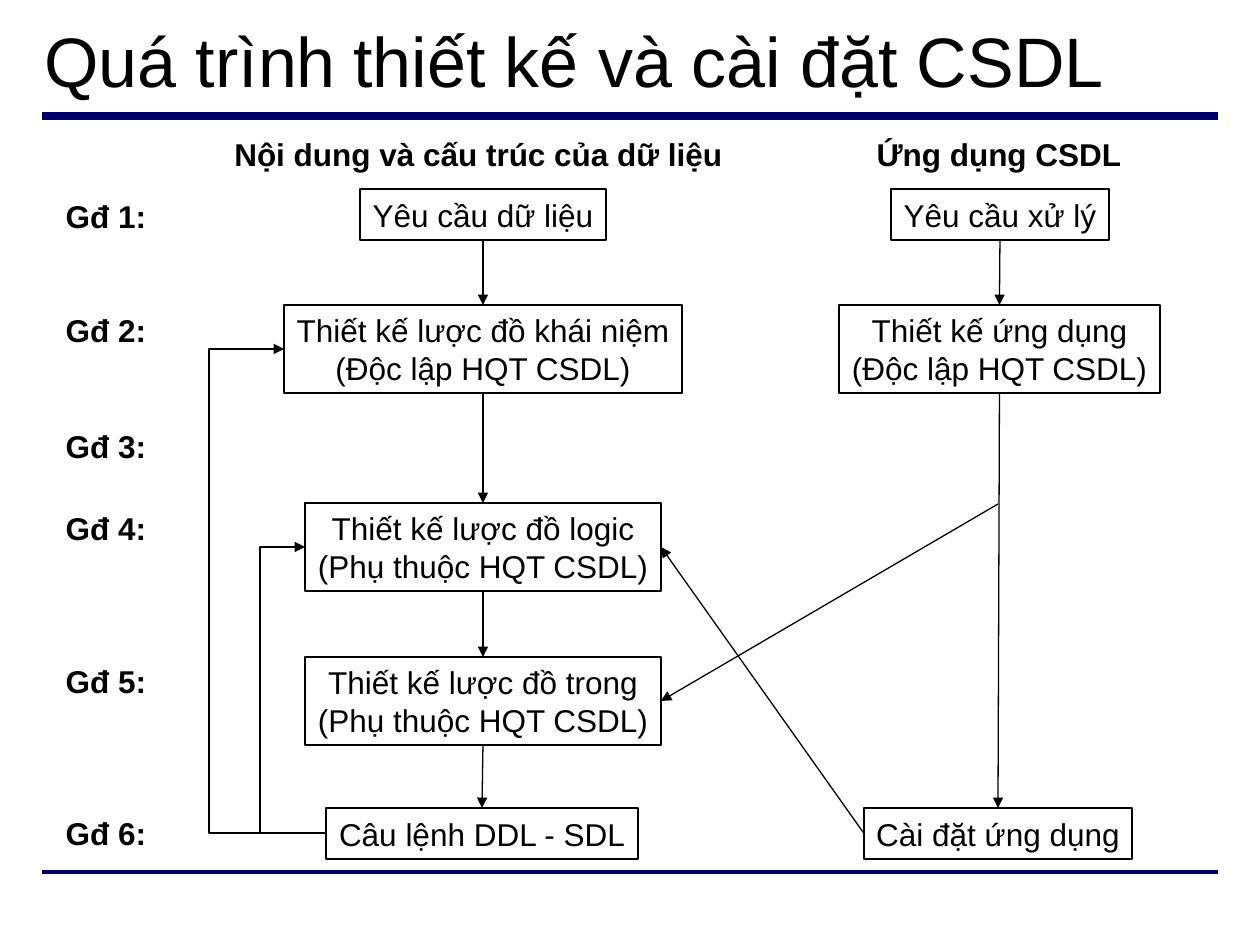
from dataclasses import dataclass

from lxml.etree import SubElement
from pptx import Presentation
from pptx.dml.color import RGBColor
from pptx.enum.shapes import MSO_CONNECTOR, MSO_SHAPE
from pptx.enum.text import MSO_ANCHOR, MSO_AUTO_SIZE, PP_ALIGN
from pptx.oxml.ns import qn
from pptx.util import Emu, Pt

PX_PER_INCH = 126
FONT = "Arial"
BLACK = "000000"
NAVY = "000066"
SIDE_INSET = 4
TOP, LEFT, BOTTOM, RIGHT = range(4)


@dataclass(frozen=True)
class Box:
    x: int
    y: int
    w: int
    h: int
    lines: tuple[str, ...]

    def side(self, site: int) -> tuple[int, int]:
        mid_x, mid_y = self.x + self.w // 2, self.y + self.h // 2
        return ((mid_x, self.y), (self.x, mid_y),
                (mid_x, self.y + self.h), (self.x + self.w, mid_y))[site]


@dataclass(frozen=True)
class Arrow:
    start: str
    start_site: int
    end: str
    end_site: int


@dataclass(frozen=True)
class Feedback:
    start: str
    end: str
    via_x: int


BOXES = {
    "data": Box(360, 189, 246, 51, ("Yêu cầu dữ liệu",)),
    "concept": Box(284, 305, 398, 88, ("Thiết kế lược đồ khái niệm", "(Độc lập HQT CSDL)")),
    "logic": Box(305, 503, 356, 88, ("Thiết kế lược đồ logic", "(Phụ thuộc HQT CSDL)")),
    "inner": Box(305, 657, 356, 88, ("Thiết kế lược đồ trong", "(Phụ thuộc HQT CSDL)")),
    "ddl": Box(326, 808, 312, 51, ("Câu lệnh DDL - SDL",)),
    "process": Box(891, 189, 218, 51, ("Yêu cầu xử lý",)),
    "app": Box(839, 305, 321, 88, ("Thiết kế ứng dụng", "(Độc lập HQT CSDL)")),
    "install": Box(864, 808, 268, 51, ("Cài đặt ứng dụng",)),
}
FLOWS = (("data", "concept", "logic", "inner", "ddl"), ("process", "app", "install"))
ARROWS = [Arrow(a, BOTTOM, b, TOP) for flow in FLOWS for a, b in zip(flow, flow[1:])]
ARROWS.append(Arrow("install", LEFT, "logic", RIGHT))
FEEDBACKS = (Feedback("ddl", "logic", 260), Feedback("ddl", "concept", 209))
PHASE_TOPS = (190, 304, 420, 502, 655, 807)
LABELS = [Box(53, y, 106, 51, (f"Gđ {n}:",)) for n, y in enumerate(PHASE_TOPS, 1)]
LABELS += [
    Box(222, 128, 513, 51, ("Nội dung và cấu trúc của dữ liệu",)),
    Box(864, 128, 270, 51, ("Ứng dụng CSDL",)),
]
TITLE_RUNS = (("Quá trình", 40), (" ", 36), ("thiết kế và cài đặt CSDL", 40))


def px(n: int) -> Emu:
    return Emu(round(n * 914400 / PX_PER_INCH))


def color(value: str) -> RGBColor:
    return RGBColor.from_string(value)


def add_run(p, text: str, size: int, bold: bool = False) -> None:
    r = p.add_run()
    r.text = text
    r.font.name = FONT
    r.font.size = Pt(size)
    r.font.bold = bold
    r.font.color.rgb = color(BLACK)


def fill_text(sp, lines: tuple[str, ...], bold: bool = False) -> None:
    tf = sp.text_frame
    tf.word_wrap = False
    tf.auto_size = MSO_AUTO_SIZE.NONE
    tf.margin_left = tf.margin_right = px(SIDE_INSET)
    tf.vertical_anchor = MSO_ANCHOR.MIDDLE
    for i, line in enumerate(lines):
        p = tf.add_paragraph() if i else tf.paragraphs[0]
        p.alignment = PP_ALIGN.CENTER
        add_run(p, line, 18, bold)


def draw_title(s) -> None:
    sp = s.shapes.add_textbox(px(32), px(11), px(1197), px(97))
    tf = sp.text_frame
    tf.word_wrap = True
    tf.vertical_anchor = MSO_ANCHOR.MIDDLE
    for text, size in TITLE_RUNS:
        add_run(tf.paragraphs[0], text, size)


def draw_box(s, box: Box):
    sp = s.shapes.add_shape(MSO_SHAPE.RECTANGLE, px(box.x), px(box.y), px(box.w), px(box.h))
    sp.shadow.inherit = False
    sp.fill.background()
    sp.line.color.rgb = color(BLACK)
    sp.line.width = Pt(0.75)
    fill_text(sp, box.lines)
    return sp


def draw_label(s, box: Box) -> None:
    sp = s.shapes.add_textbox(px(box.x), px(box.y), px(box.w), px(box.h))
    fill_text(sp, box.lines, bold=True)


def draw_line(s, start: tuple[int, int], end: tuple[int, int], hue: str = BLACK,
              width: float = 0.75, head: bool = True, kind=MSO_CONNECTOR.STRAIGHT):
    line = s.shapes.add_connector(kind, *map(px, start + end))
    line.line.color.rgb = color(hue)
    line.line.width = Pt(width)
    if head:
        SubElement(line.line._get_or_add_ln(), qn("a:tailEnd"), type="triangle")
    SubElement(line._element.spPr, qn("a:effectLst"))
    return line


def draw_arrow(s, arrow: Arrow, shapes: dict) -> None:
    line = draw_line(s, BOXES[arrow.start].side(arrow.start_site),
                     BOXES[arrow.end].side(arrow.end_site))
    line.begin_connect(shapes[arrow.start], arrow.start_site)
    line.end_connect(shapes[arrow.end], arrow.end_site)


def draw_feedback(s, feedback: Feedback) -> None:
    start = BOXES[feedback.start].side(LEFT)
    end = BOXES[feedback.end].side(LEFT)
    line = draw_line(s, start, end, kind=MSO_CONNECTOR.ELBOW)
    bend = round((start[0] - feedback.via_x) / (start[0] - end[0]) * 100000)
    guides = line._element.spPr.find(qn("a:prstGeom")).get_or_add_avLst()
    SubElement(guides, qn("a:gd"), name="adj1", fmla=f"val {bend}")


def main() -> None:
    prs = Presentation()
    prs.slide_width, prs.slide_height = px(1260), px(945)
    s = prs.slides.add_slide(prs.slide_layouts[6])
    for y, width in ((116, 4.5), (872, 2.25)):
        draw_line(s, (42, y), (1218, y), NAVY, width, head=False)
    draw_title(s)
    shapes = {name: draw_box(s, box) for name, box in BOXES.items()}
    for arrow in ARROWS:
        draw_arrow(s, arrow, shapes)
    for feedback in FEEDBACKS:
        draw_feedback(s, feedback)
    to_inner = draw_line(s, (998, 504), BOXES["inner"].side(RIGHT))
    to_inner.end_connect(shapes["inner"], RIGHT)
    for label in LABELS:
        draw_label(s, label)
    prs.save("out.pptx")


if __name__ == "__main__":
    main()
